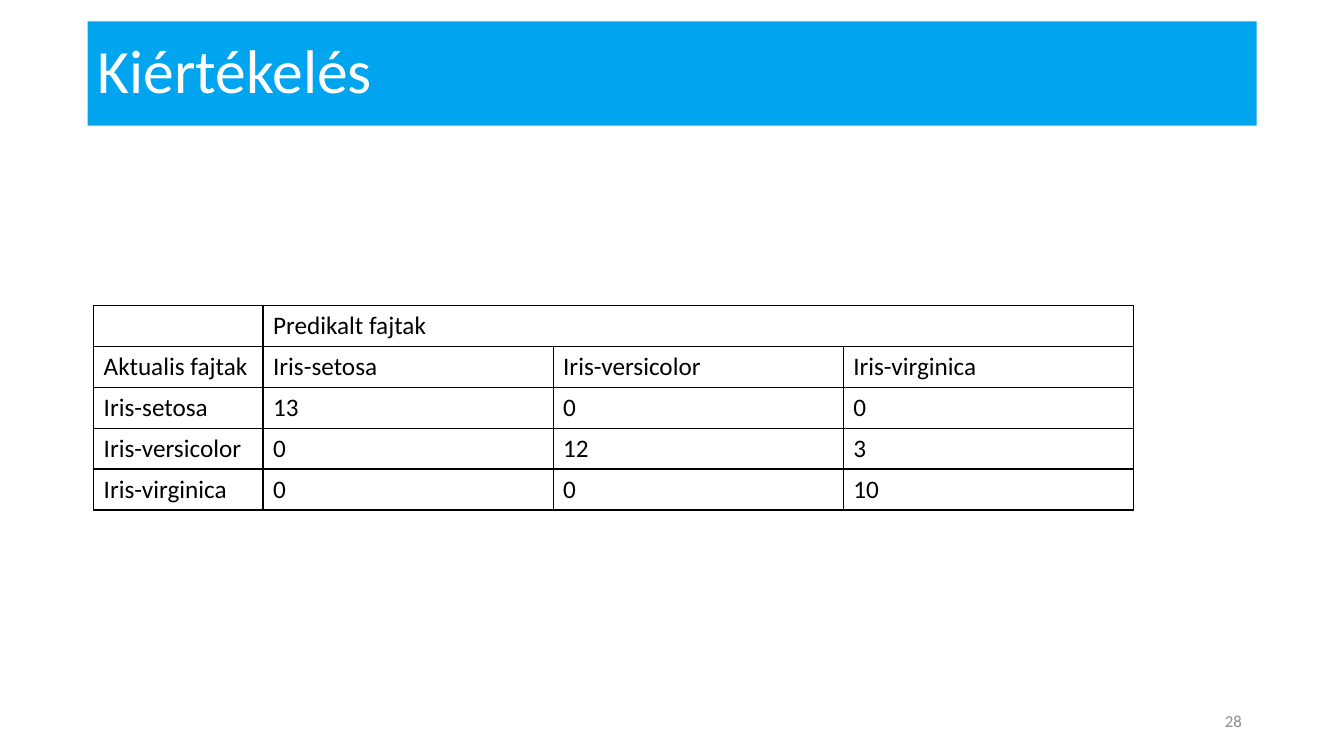
from lxml import etree
from pptx import Presentation
from pptx.dml.color import RGBColor
from pptx.enum import shapes, text
from pptx.oxml import ns
from pptx.util import Cm, Pt

FONT = "Calibri"
COLORS = {"band": "00A4EF", "title": "FFFEFF", "ink": "000000", "number": "8C8C8C"}
SPECIES = ["Iris-setosa", "Iris-versicolor", "Iris-virginica"]
CONFUSION = [[13, 0, 0], [0, 12, 3], [0, 0, 10]]
LABEL_WIDTH, SPECIES_WIDTH, ROW_HEIGHT = 4.27, 7.31, 1.03


def color(name):
    return RGBColor.from_string(COLORS[name])


def write(frame, content, size, ink, align=text.PP_ALIGN.LEFT):
    frame.text = content
    paragraph = frame.paragraphs[0]
    paragraph.alignment = align
    for font in [paragraph.font] + [run.font for run in paragraph.runs]:
        font.name, font.size = FONT, Pt(size)
        font.color.rgb = color(ink)
    return paragraph


def add_title(slide, content):
    """Place the title over a coloured band."""
    left, top, height = Cm(2.21), Cm(0.54), Cm(2.63)
    band = slide.shapes.add_shape(
        shapes.MSO_SHAPE.RECTANGLE, left, top, Cm(29.46), height)
    band.shadow.inherit = False
    band.fill.solid()
    band.fill.fore_color.rgb = color("band")
    band.line.fill.background()

    title = slide.shapes.title
    title.left, title.top, title.width, title.height = left, top, Cm(26.59), height
    frame = title.text_frame
    frame.auto_size = text.MSO_AUTO_SIZE.NONE
    frame.vertical_anchor = text.MSO_ANCHOR.MIDDLE
    write(frame, content, 44, "title").line_spacing = 0.9
    title.element.addprevious(band.element)


def outline(cell):
    """Clear the cell's fill and draw all four borders."""
    properties = cell._tc.get_or_add_tcPr()
    for side in ("a:lnL", "a:lnR", "a:lnT", "a:lnB"):
        border = etree.SubElement(properties, ns.qn(side), w=str(Pt(1)))
        fill = etree.SubElement(border, ns.qn("a:solidFill"))
        etree.SubElement(fill, ns.qn("a:srgbClr"), val=COLORS["ink"])
    cell.fill.background()


def add_confusion_matrix(slide):
    rows = [["", "Predikalt fajtak", "", ""], ["Aktualis fajtak", *SPECIES]]
    rows += [[name, *counts] for name, counts in zip(SPECIES, CONFUSION)]
    widths = [LABEL_WIDTH] + [SPECIES_WIDTH] * len(SPECIES)
    matrix = slide.shapes.add_table(
        len(rows), len(widths), Cm(2.36), Cm(7.7),
        Cm(sum(widths)), Cm(ROW_HEIGHT * len(rows))).table
    matrix.first_row = matrix.horz_banding = False
    for column, width in zip(matrix.columns, widths):
        column.width = Cm(width)
    for r, row in enumerate(rows):
        matrix.rows[r].height = Cm(ROW_HEIGHT)
        for c, value in enumerate(row):
            cell = matrix.cell(r, c)
            cell.vertical_anchor = text.MSO_ANCHOR.MIDDLE
            write(cell.text_frame, str(value), 18, "ink")
            outline(cell)
    matrix.cell(0, 1).merge(matrix.cell(0, len(SPECIES)))


def add_page_number(slide, number):
    frame = slide.shapes.add_textbox(Cm(23.93), Cm(17.65), Cm(7.62), Cm(1.02)).text_frame
    frame.word_wrap = True
    frame.vertical_anchor = text.MSO_ANCHOR.MIDDLE
    write(frame, str(number), 12, "number", text.PP_ALIGN.RIGHT)


def main():
    deck = Presentation()
    deck.slide_width, deck.slide_height = Cm(33.87), Cm(19.05)
    slide = deck.slides.add_slide(deck.slide_layouts.get_by_name("Title Only"))
    add_title(slide, "Kiértékelés")
    add_confusion_matrix(slide)
    add_page_number(slide, 28)
    deck.save("out.pptx")


if __name__ == "__main__":
    main()
